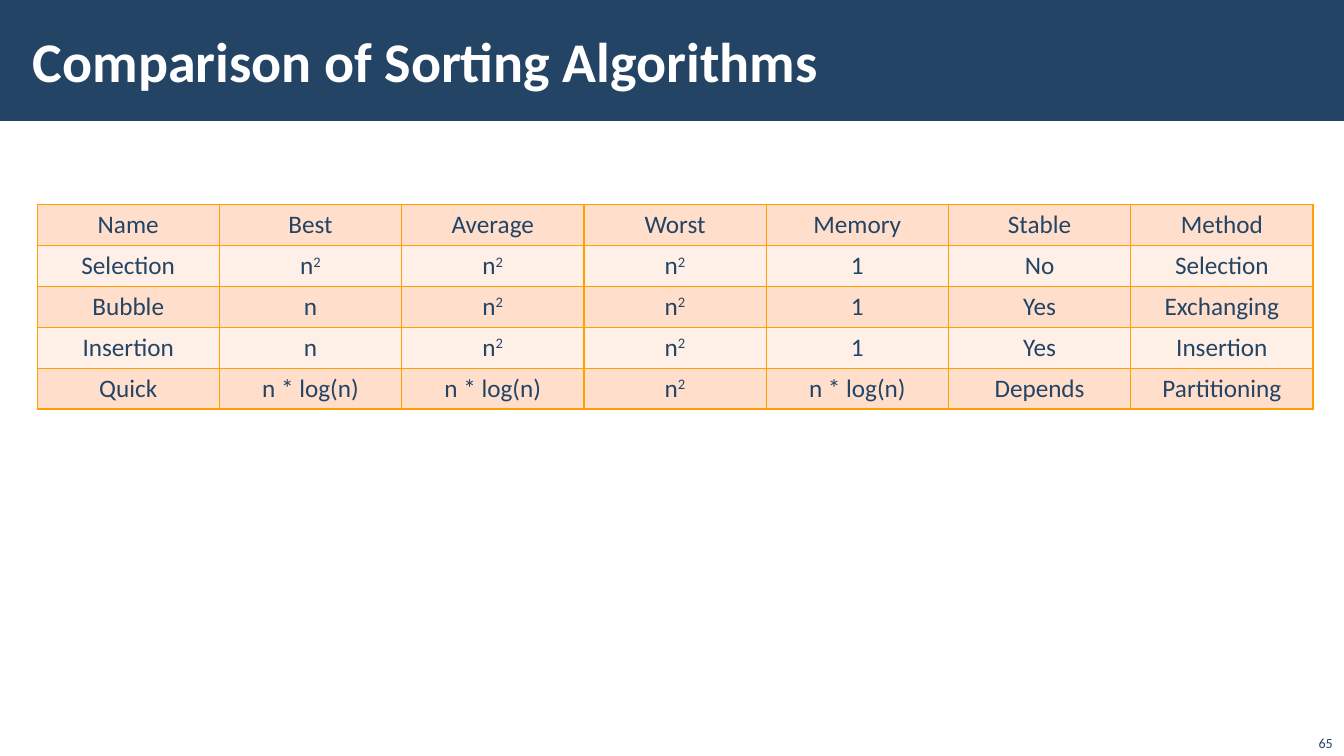
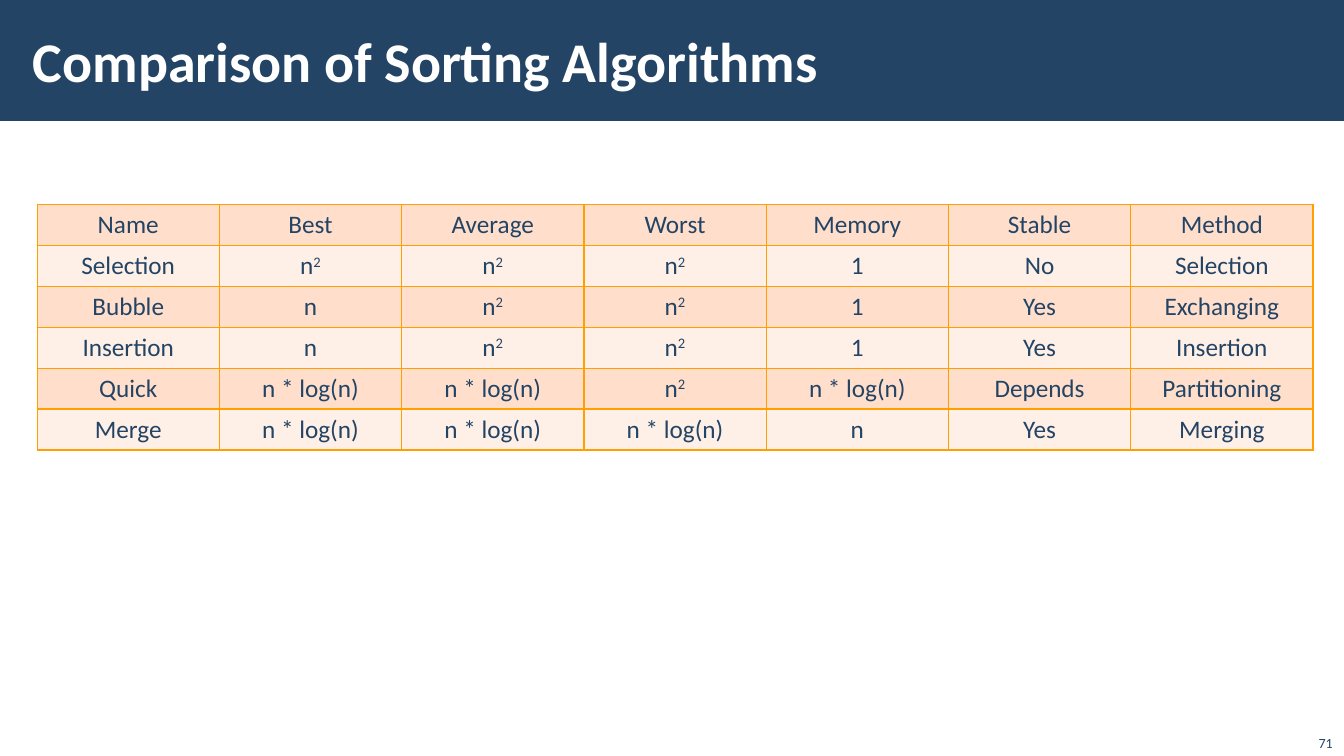
from lxml.etree import SubElement
from pptx import Presentation
from pptx.dml.color import RGBColor
from pptx.enum.shapes import MSO_SHAPE
from pptx.enum.text import MSO_ANCHOR, PP_ALIGN
from pptx.oxml.ns import qn
from pptx.util import Pt

FONT = "Calibri"
NAVY = "234465"
WHITE = "FFFFFF"
ORANGE = "FFA000"
ROW_FILLS = ["FFDFCC", "FFF0E7"]

TITLE = "Comparison of Sorting Algorithms"
HEADER = ["Name", "Best", "Average", "Worst", "Memory", "Stable", "Method"]
# A caret marks the start of a superscript.
ALGORITHMS = [
    ["Selection", "n^2", "n^2", "n^2", "1", "No", "Selection"],
    ["Bubble", "n", "n^2", "n^2", "1", "Yes", "Exchanging"],
    ["Insertion", "n", "n^2", "n^2", "1", "Yes", "Insertion"],
    ["Quick", "n * log(n)", "n * log(n)", "n^2", "n * log(n)", "Depends", "Partitioning"],
    ["Merge", "n * log(n)", "n * log(n)", "n * log(n)", "n", "Yes", "Merging"],
]
PAGES = [("65", ALGORITHMS[:4]), ("71", ALGORITHMS)]

SLIDE_WIDTH, SLIDE_HEIGHT = 960, 540
COLUMN_WIDTH, ROW_HEIGHT = 130.2, 29.2


def color(hex_string):
    return RGBColor.from_string(hex_string)


def write(frame, text, size, text_color, bold=False, align=PP_ALIGN.LEFT):
    """Fill the first paragraph, raising whatever follows a caret."""
    para = frame.paragraphs[0]
    para.alignment = align
    para.font.name = FONT
    para.font.size = Pt(size)
    para.font.bold = bold
    para.font.color.rgb = color(text_color)
    base, _, power = text.partition("^")
    para.add_run().text = base
    if power:
        span = para.add_run()
        span.text = power
        span._r.get_or_add_rPr().set("baseline", "30000")


deck = Presentation()
deck.slide_width = Pt(SLIDE_WIDTH)
deck.slide_height = Pt(SLIDE_HEIGHT)

for number, algorithms in PAGES:
    page = deck.slides.add_slide(deck.slide_layouts[6])

    band = page.shapes.add_shape(MSO_SHAPE.RECTANGLE, 0, 0, Pt(SLIDE_WIDTH), Pt(86.4))
    band.shadow.inherit = False
    band.fill.solid()
    band.fill.fore_color.rgb = color(NAVY)
    band.line.fill.background()

    title_box = page.shapes.add_textbox(Pt(15), Pt(8), Pt(765), Pt(70))
    title = title_box.text_frame
    title.word_wrap = True
    title.vertical_anchor = MSO_ANCHOR.MIDDLE
    title.margin_left = title.margin_right = Pt(8.5)
    title.margin_top = title.margin_bottom = Pt(3)
    write(title, TITLE, 40, WHITE, bold=True)

    number_box = page.shapes.add_textbox(Pt(923), Pt(517), Pt(36), Pt(23))
    footer = number_box.text_frame
    footer.word_wrap = True
    footer.vertical_anchor = MSO_ANCHOR.BOTTOM
    write(footer, number, 10, NAVY, align=PP_ALIGN.RIGHT)

    rows = [HEADER] + algorithms
    table = page.shapes.add_table(
        len(rows), len(HEADER), Pt(26.5), Pt(146.2),
        Pt(COLUMN_WIDTH * len(HEADER)), Pt(ROW_HEIGHT * len(rows)),
    ).table
    for column in table.columns:
        column.width = Pt(COLUMN_WIDTH)
    for row_index, values in enumerate(rows):
        table.rows[row_index].height = Pt(ROW_HEIGHT)
        for column_index, value in enumerate(values):
            cell = table.cell(row_index, column_index)
            write(cell.text_frame, value, 18, NAVY, align=PP_ALIGN.CENTER)
            properties = cell._tc.get_or_add_tcPr()
            for side in ("a:lnL", "a:lnR", "a:lnT", "a:lnB"):
                border = SubElement(properties, qn(side), w=str(Pt(1)))
                border_fill = SubElement(border, qn("a:solidFill"))
                SubElement(border_fill, qn("a:srgbClr"), val=ORANGE)
            cell.fill.solid()
            cell.fill.fore_color.rgb = color(ROW_FILLS[row_index % 2])

deck.save("out.pptx")
